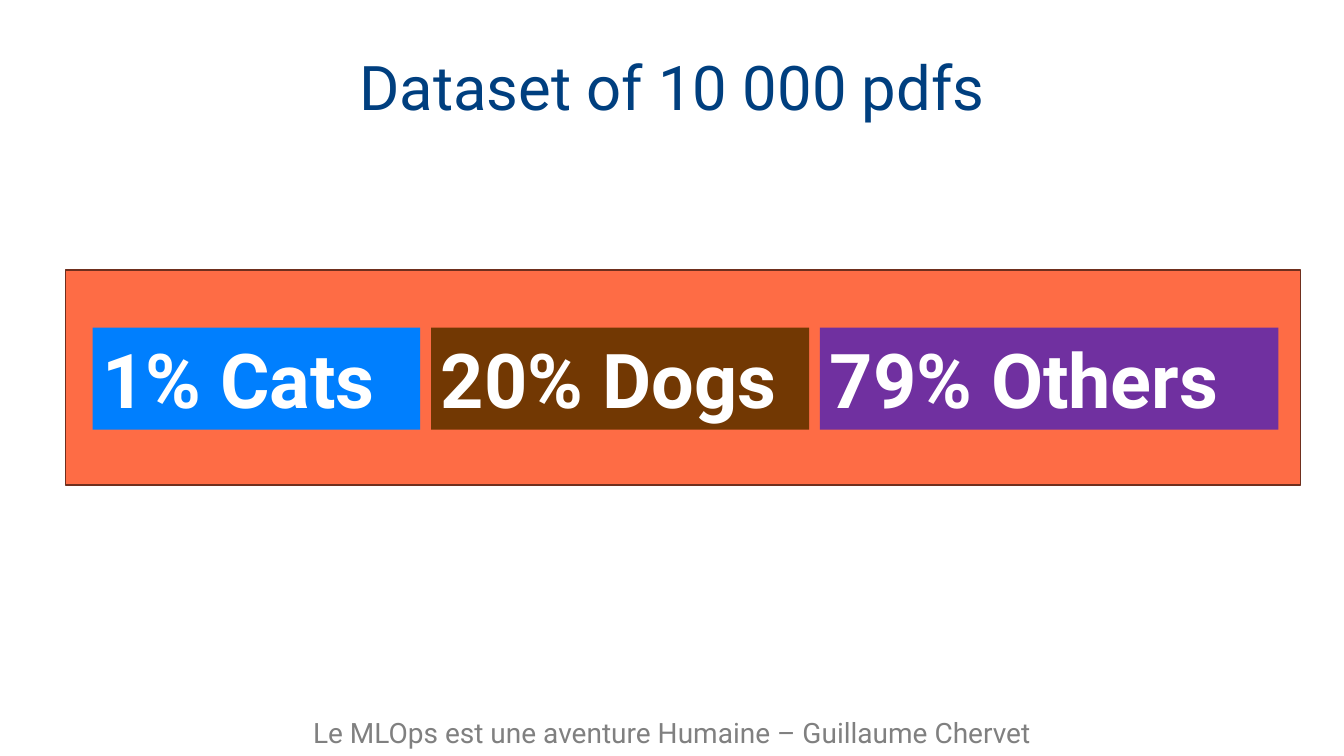
from dataclasses import dataclass

from pptx import Presentation
from pptx.dml.color import RGBColor
from pptx.enum.shapes import MSO_SHAPE
from pptx.enum.text import MSO_ANCHOR, MSO_AUTO_SIZE, PP_ALIGN
from pptx.util import Pt


@dataclass(frozen=True)
class Theme:
    font: str = "Roboto"
    title_size: float = 44
    share_size: float = 54
    footer_size: float = 20
    title: str = "003F7F"
    footer: str = "808080"
    white: str = "FFFFFF"
    band: str = "FE6C45"
    band_line: str = "6F2F1E"
    cats: str = "007FFE"
    dogs: str = "723803"
    others: str = "7030A0"


THEME = Theme()
SHARE_LEFT, SHARE_TOP, SHARE_HEIGHT, SHARE_GAP = 66.2, 234, 73, 7.7
SHARES = [
    ("1% Cats", 234, THEME.cats),
    ("20% Dogs", 270, THEME.dogs),
    ("79% Others", 327.6, THEME.others),
]


def set_values(target, values):
    for name, value in values.items():
        setattr(target, name, value)


def write_text(shape, text, size, color, bold=False,
               align=PP_ALIGN.CENTER, anchor=MSO_ANCHOR.MIDDLE):
    frame = shape.text_frame
    set_values(frame, {
        "word_wrap": True,
        "auto_size": MSO_AUTO_SIZE.NONE,
        "vertical_anchor": anchor,
    })
    para = frame.paragraphs[0]
    para.alignment = align
    span = para.add_run()
    span.text = text
    set_values(span.font, {"name": THEME.font, "size": Pt(size), "bold": bold})
    span.font.color.rgb = RGBColor.from_string(color)
    return para


def add_box(page, left, top, width, height, fill, line=None):
    box = page.shapes.add_shape(
        MSO_SHAPE.RECTANGLE, Pt(left), Pt(top), Pt(width), Pt(height))
    box.shadow.inherit = False
    box.fill.solid()
    box.fill.fore_color.rgb = RGBColor.from_string(fill)
    if line:
        box.line.color.rgb = RGBColor.from_string(line)
        box.line.width = Pt(1)
    else:
        box.line.fill.background()
    return box


def add_title(page, text):
    title = page.shapes.title
    set_values(title, {
        "left": Pt(66.2), "top": Pt(12.2), "width": Pt(828), "height": Pt(104.4),
    })
    para = write_text(title, text, THEME.title_size, THEME.title)
    para.line_spacing = 0.9


def add_shares(page):
    left = SHARE_LEFT
    for text, width, fill in SHARES:
        box = add_box(page, left, SHARE_TOP, width, SHARE_HEIGHT, fill)
        write_text(box, text, THEME.share_size, THEME.white, True,
                   PP_ALIGN.LEFT, MSO_ANCHOR.TOP)
        left += width + SHARE_GAP


def main():
    deck = Presentation()
    set_values(deck, {"slide_width": Pt(960), "slide_height": Pt(540)})
    page = deck.slides.add_slide(deck.slide_layouts[5])
    add_title(page, "Dataset of 10 000 pdfs")
    footer = add_box(page, 0, 506.2, 960, 33.8, THEME.white)
    write_text(footer, "Le MLOps est une aventure Humaine – Guillaume Chervet",
               THEME.footer_size, THEME.footer)
    add_box(page, 46.8, 193, 882, 153.4, THEME.band, THEME.band_line)
    add_shares(page)
    deck.save("out.pptx")


if __name__ == "__main__":
    main()
